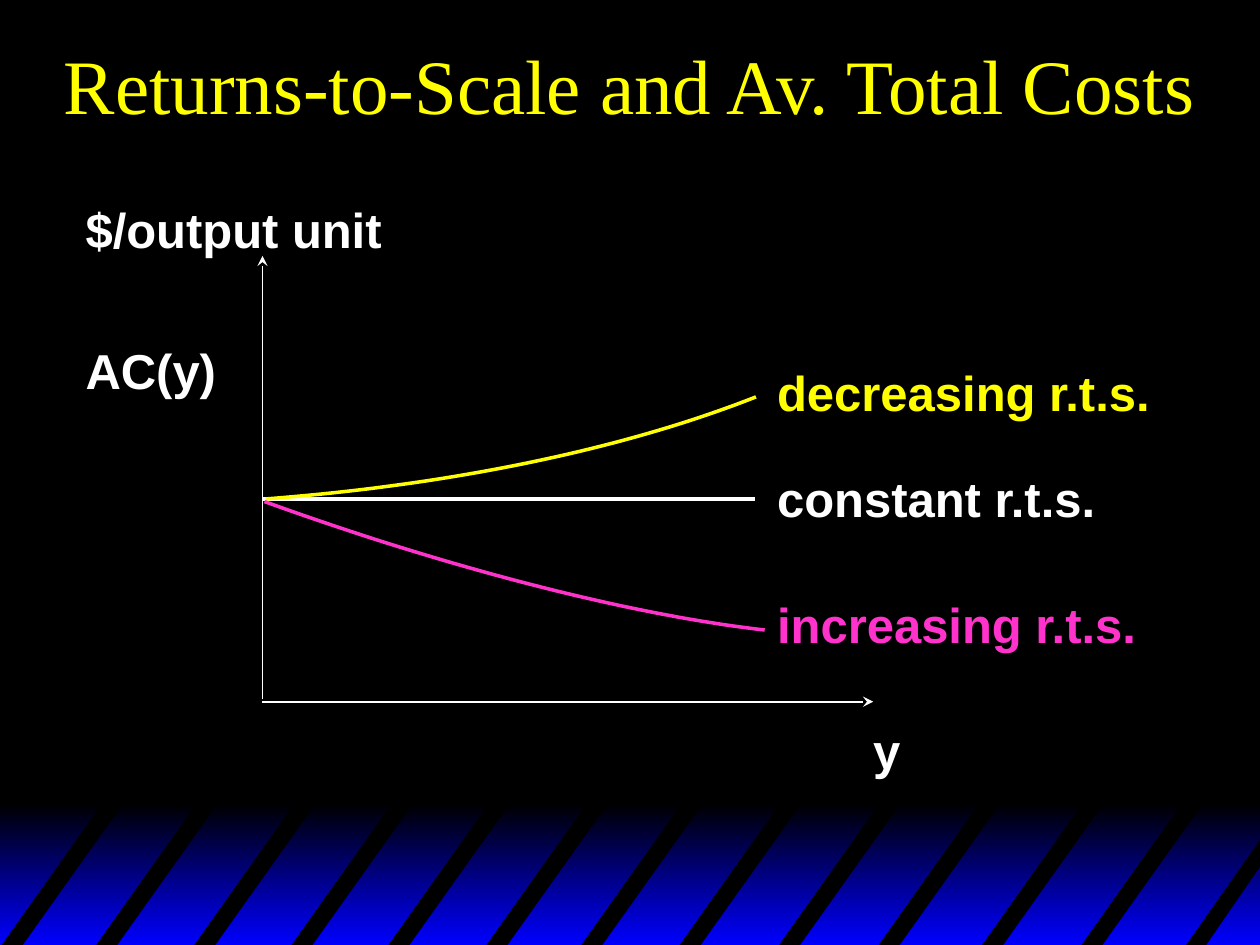
from dataclasses import dataclass

from lxml.etree import SubElement
from pptx import Presentation
from pptx.dml.color import RGBColor
from pptx.enum.shapes import MSO_CONNECTOR, MSO_SHAPE
from pptx.enum.text import MSO_ANCHOR, MSO_AUTO_SIZE, PP_ALIGN
from pptx.oxml.ns import qn
from pptx.util import Pt

COLORS = {
    "black": "000000",
    "blue": "0000FF",
    "white": "FFFFFF",
    "yellow": "FFFF00",
    "pink": "FF33CC",
}
Point = tuple[float, float]


@dataclass
class Label:
    text: str
    left: float
    top: float
    width: float
    color: str = "white"


@dataclass
class Line:
    start: Point
    end: Point
    width: float
    arrow: bool = False


@dataclass
class Curve:
    points: tuple[Point, Point, Point, Point]  # cubic Bezier control points
    color: str


ORIGIN_X, AXIS_Y = 150, 401
LABELS = [
    Label("y", 491.8, 408.2, 30.2),
    Label("$/output unit", 41.8, 110.2, 183.6),
    Label("AC(y)", 41.8, 190.8, 89.3),
    Label("decreasing r.t.s.", 437, 203.8, 229, "yellow"),
    Label("constant r.t.s.", 437, 264.2, 198),
    Label("increasing r.t.s.", 437, 336.2, 221, "pink"),
]
LINES = [
    Line((ORIGIN_X, 399.6), (ORIGIN_X, 146.2), 1, arrow=True),
    Line((ORIGIN_X, AXIS_Y), (499, AXIS_Y), 1, arrow=True),
    Line((ORIGIN_X, 285), (431.3, 285), 2),
]
CURVES = [
    Curve(((432, 226.8), (355.7, 257), (256.3, 277.2), (151.9, 285.1)), "yellow"),
    Curve(((437, 360), (360.7, 351.4), (256.3, 324.7), (151.2, 286.6)), "pink"),
]
STRIPE_LEFTS = [0, 54, 110, 165.6, 221, 277, 331.2, 387.4, 444.2, 501.1, 560.2, 617]
STRIPE_TOP, STRIPE_BOTTOM = 456.5, 541.4
STRIPE_WIDTH, STRIPE_SLANT = 12, 60.3
BAND_RIGHT = 721.4


def rgb(name: str) -> RGBColor:
    return RGBColor.from_string(COLORS[name])


def add_outline(s, points: list[Point], close: bool):
    pts = [(Pt(x), Pt(y)) for x, y in points]
    fb = s.shapes.build_freeform(*pts[0])
    fb.add_line_segments(pts[1:], close=close)
    sp = fb.convert_to_shape()
    sp.shadow.inherit = False
    return sp


def add_stripe(s, points: list[Point]) -> None:
    sp = add_outline(s, points, close=True)
    sp.fill.solid()
    sp.fill.fore_color.rgb = rgb("black")
    sp.line.fill.background()


def add_line(s, line: Line) -> None:
    ends = [Pt(v) for v in (*line.start, *line.end)]
    cn = s.shapes.add_connector(MSO_CONNECTOR.STRAIGHT, *ends)
    cn.line.color.rgb = rgb("white")
    cn.line.width = Pt(line.width)
    if line.arrow:
        SubElement(cn.line._get_or_add_ln(), qn("a:tailEnd"), type="stealth")
    SubElement(cn._element.spPr, qn("a:effectLst"))


def bezier(points: tuple[Point, Point, Point, Point], t: float) -> Point:
    u = 1 - t
    weights = (u**3, 3 * u * u * t, 3 * u * t * t, t**3)
    x, y = (sum(w * v for w, v in zip(weights, axis)) for axis in zip(*points))
    return x, y


def add_curve(s, curve: Curve, steps: int = 40) -> None:
    points = [bezier(curve.points, i / steps) for i in range(steps + 1)]
    sp = add_outline(s, points, close=False)
    sp.fill.background()
    sp.line.color.rgb = rgb(curve.color)
    sp.line.width = Pt(2)


def add_label(s, label: Label) -> None:
    sp = s.shapes.add_textbox(Pt(label.left), Pt(label.top), Pt(label.width), Pt(41))
    tf = sp.text_frame
    tf.word_wrap = False
    tf.auto_size = MSO_AUTO_SIZE.SHAPE_TO_FIT_TEXT
    tf.text = label.text
    font = tf.paragraphs[0].runs[0].font
    font.name, font.size, font.bold = "Arial", Pt(28), True
    font.color.rgb = rgb(label.color)


def add_band(s) -> None:
    sp = s.shapes.add_shape(MSO_SHAPE.RECTANGLE, 0, Pt(459.4), Pt(BAND_RIGHT), Pt(80.6))
    sp.shadow.inherit = False
    sp.line.fill.background()
    sp.fill.gradient()
    sp.fill.gradient_angle = 270
    for stop, name in zip(sp.fill.gradient_stops, ("black", "blue")):
        stop.color.rgb = rgb(name)

    for x in STRIPE_LEFTS:
        top_x = x + STRIPE_SLANT
        add_stripe(s, [(x, STRIPE_BOTTOM), (top_x, STRIPE_TOP),
                       (top_x + STRIPE_WIDTH, STRIPE_TOP),
                       (x + STRIPE_WIDTH, STRIPE_BOTTOM)])
    # The last stripe is cut off by the right edge
    add_stripe(s, [(676.8, STRIPE_BOTTOM), (BAND_RIGHT, 478),
                   (BAND_RIGHT, 493.2), (688.3, STRIPE_BOTTOM)])


def add_title(s, text: str) -> None:
    sp = s.shapes.title
    sp.left, sp.top, sp.width, sp.height = 0, 0, Pt(720), Pt(96)
    tf = sp.text_frame
    tf.text = text
    tf.word_wrap = True
    tf.auto_size = MSO_AUTO_SIZE.NONE
    tf.vertical_anchor = MSO_ANCHOR.MIDDLE
    p = tf.paragraphs[0]
    p.alignment = PP_ALIGN.CENTER
    r = p.runs[0]
    r.font.name, r.font.size = "Times New Roman", Pt(44)
    r.font.color.rgb = rgb("yellow")


def main() -> None:
    prs = Presentation()
    prs.slide_width, prs.slide_height = Pt(720), Pt(540)
    s = prs.slides.add_slide(prs.slide_layouts[5])
    s.background.fill.solid()
    s.background.fill.fore_color.rgb = rgb("black")

    # Striped band and title
    add_band(s)
    add_title(s, "Returns-to-Scale and Av. Total Costs")

    # Cost diagram
    for line in LINES:
        add_line(s, line)
    for curve in CURVES:
        add_curve(s, curve)
    for label in LABELS:
        add_label(s, label)

    prs.save("out.pptx")


if __name__ == "__main__":
    main()
